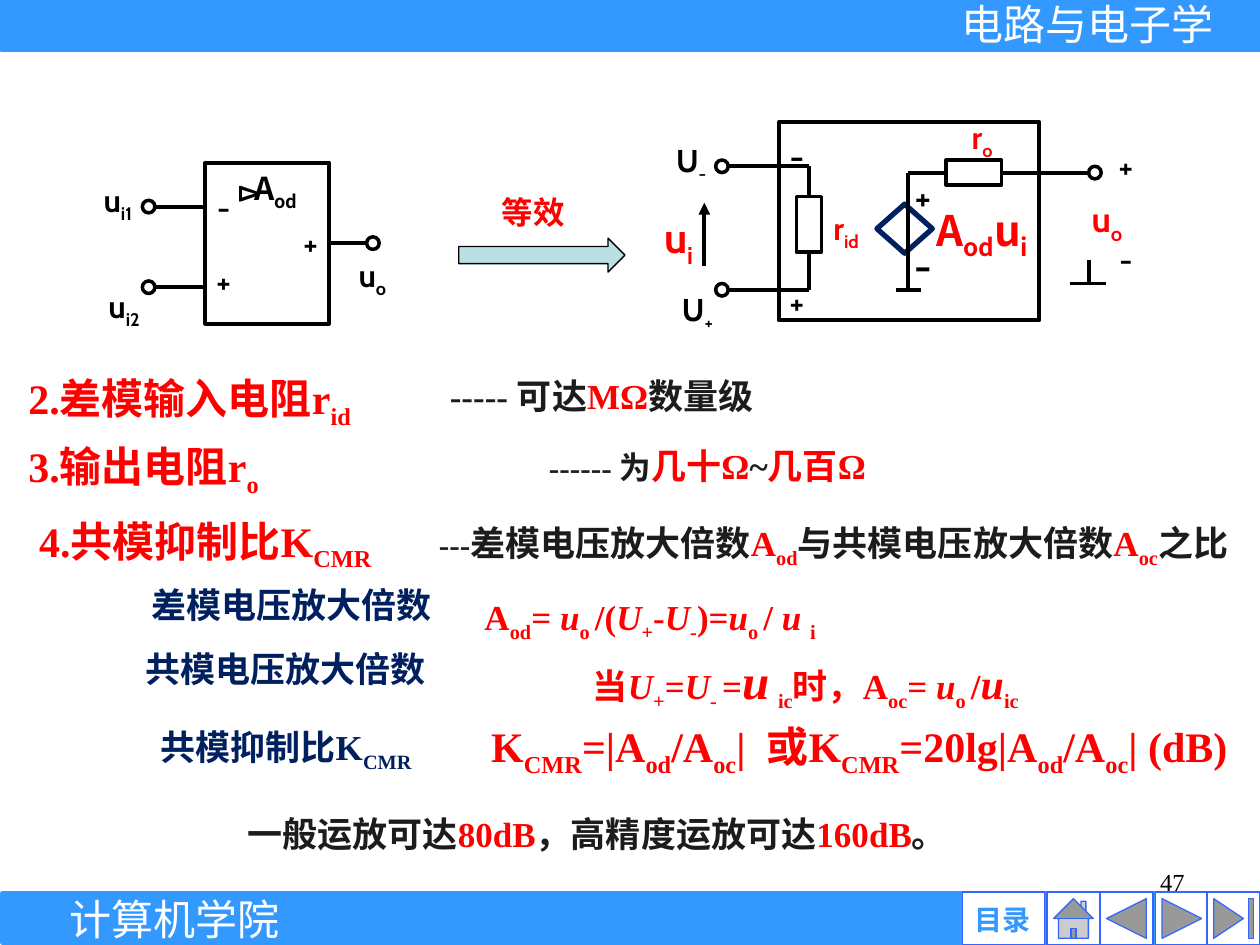
from dataclasses import dataclass
from typing import Optional

from lxml import etree
from pptx import Presentation
from pptx.dml.color import RGBColor
from pptx.enum.shapes import MSO_CONNECTOR, MSO_SHAPE
from pptx.enum.text import MSO_ANCHOR, MSO_AUTO_SIZE, PP_ALIGN
from pptx.oxml.ns import qn
from pptx.util import Emu, Pt

SCALE = 9144  # EMU per px, 100 px to the inch
RECT, OVAL, DIAMOND = MSO_SHAPE.RECTANGLE, MSO_SHAPE.OVAL, MSO_SHAPE.DIAMOND
ARROW = MSO_SHAPE.RIGHT_ARROW
CENTER, LEFT, RIGHT = PP_ALIGN.CENTER, PP_ALIGN.LEFT, PP_ALIGN.RIGHT
TOP_SIDE, LEFT_SIDE, BOTTOM_SIDE, RIGHT_SIDE = range(4)
COLORS = {
    "black": "000000", "white": "FFFFFF", "red": "FF0000", "ink": "1C1C1C",
    "navy": "002060", "bar": "3399FF", "button": "3366FF", "pale": "BBE0E3",
}
SERIF, SANS, CABIN, CJK = "Times New Roman", "Arial", "Cabin", "Noto Sans CJK SC"


@dataclass(frozen=True)
class Run:
    text: str
    color: Optional[str] = None
    size: Optional[int] = None
    italic: bool = False
    subscript: bool = False


@dataclass(frozen=True)
class Label:
    left: int
    top: int
    width: int
    height: int
    runs: tuple
    size: int = 18
    color: str = "black"
    font: str = CABIN
    bold: bool = True
    align: PP_ALIGN = CENTER
    wrap: bool = True
    spacing: Optional[float] = None
    middle: bool = False
    rotation: int = 0


@dataclass(frozen=True)
class Block:
    left: int
    top: int
    width: int
    height: int
    kind: MSO_SHAPE = RECT
    fill: Optional[str] = "white"
    line: str = "black"
    weight: float = 2.0


@dataclass(frozen=True)
class Wire:
    x1: int
    y1: int
    x2: int
    y2: int
    block: Optional[Block] = None  # block whose side the wire ends on
    side: int = 0
    arrow: bool = False


def rgb(name: str) -> RGBColor:
    return RGBColor.from_string(COLORS[name])


def px(*lengths: int) -> list:
    return [Emu(length * SCALE) for length in lengths]


def sub(text: str, color: Optional[str] = None) -> Run:
    return Run(text, color, subscript=True)


def ital(text: str, size: Optional[int] = None) -> Run:
    return Run(text, size=size, italic=True)


def red(text: str, size: Optional[int] = None) -> Run:
    return Run(text, "red", size)


def symbol(left: int, top: int, letter: str, index: str = "", size: int = 18,
           color: str = "black") -> Label:
    """Circuit symbol with an optional subscript."""
    runs = (letter, sub(index)) if index else (letter,)
    return Label(left, top, 59, 40, runs, size, color)


def draw_label(slide, label: Label) -> None:
    shape = slide.shapes.add_textbox(*px(label.left, label.top, label.width, label.height))
    shape.rotation = label.rotation
    frame = shape.text_frame
    frame.word_wrap = label.wrap
    frame.auto_size = MSO_AUTO_SIZE.SHAPE_TO_FIT_TEXT
    if label.middle:
        frame.vertical_anchor = MSO_ANCHOR.MIDDLE
        frame.margin_left = frame.margin_right = frame.margin_top = frame.margin_bottom = 0
    paragraph = frame.paragraphs[0]
    paragraph.alignment = label.align
    if label.spacing:
        paragraph.line_spacing = label.spacing
    for part in label.runs:
        part = Run(part) if isinstance(part, str) else part
        run = paragraph.add_run()
        run.text = part.text
        run.font.name = label.font
        run.font.size = Pt(part.size or label.size)
        run.font.bold = label.bold
        run.font.italic = part.italic
        run.font.color.rgb = rgb(part.color or label.color)
        if part.subscript:
            run._r.get_or_add_rPr().set("baseline", "-25000")


def draw_block(slide, block: Block):
    shape = slide.shapes.add_shape(
        block.kind, *px(block.left, block.top, block.width, block.height))
    shape.shadow.inherit = False
    if block.fill:
        shape.fill.solid()
        shape.fill.fore_color.rgb = rgb(block.fill)
    else:
        shape.fill.background()
    shape.line.color.rgb = rgb(block.line)
    shape.line.width = Pt(block.weight)
    return shape


def draw_wire(slide, wire: Wire, shapes: dict) -> None:
    connector = slide.shapes.add_connector(
        MSO_CONNECTOR.STRAIGHT, *px(wire.x1, wire.y1, wire.x2, wire.y2))
    connector.line.color.rgb = rgb("black")
    connector.line.width = Pt(2.25)
    if wire.arrow:
        etree.SubElement(connector.line._get_or_add_ln(), qn("a:tailEnd"), type="triangle")
    etree.SubElement(connector._element.spPr, qn("a:effectLst"))
    if wire.block:
        connector.end_connect(shapes[wire.block], wire.side)


def draw_circuit(slide, blocks: list, wires: list, terminals: list, labels: list) -> None:
    shapes = {block: draw_block(slide, block) for block in blocks}
    for wire in wires:
        draw_wire(slide, wire, shapes)
    for left, top in terminals:
        draw_block(slide, Block(left, top, 10, 10, OVAL))
    for label in labels:
        draw_label(slide, label)


AMPLIFIER = Block(163, 129, 98, 128, weight=2.25)
AMPLIFIER_WIRES = [Wire(123, 164, 163, 164), Wire(123, 228, 163, 228),
                   Wire(295, 193, 261, 193, AMPLIFIER, RIGHT_SIDE)]
AMPLIFIER_LABELS = [
    symbol(148, 203, "+"), symbol(217, 173, "+"), symbol(148, 144, "-"),
    symbol(64, 139, "u", "i1"), symbol(69, 223, "u", "i2"), symbol(266, 198, "u", "o"),
    Label(170, 129, 98, 40, ("A", sub("od")), font=CJK),
    Label(177, 137, 40, 34, ("Δ",), 14, font=CJK, wrap=False, rotation=90),
]

MODEL = Block(618, 97, 207, 157, weight=2.25)
INPUT_RESISTOR = Block(632, 156, 20, 44)
OUTPUT_RESISTOR = Block(751, 127, 44, 20)
MODEL_WIRES = [
    Wire(578, 132, 642, 132), Wire(578, 230, 642, 230), Wire(559, 211, 559, 161, arrow=True),
    Wire(642, 132, 642, 156, INPUT_RESISTOR, TOP_SIDE),
    Wire(642, 230, 642, 200, INPUT_RESISTOR, BOTTOM_SIDE),
    Wire(721, 137, 751, 137, OUTPUT_RESISTOR, LEFT_SIDE),
    Wire(864, 137, 795, 137, OUTPUT_RESISTOR, RIGHT_SIDE),
    Wire(721, 137, 721, 230), Wire(711, 230, 731, 230),
    Wire(864, 206, 864, 225), Wire(849, 225, 878, 225),
]
MODEL_LABELS = [
    symbol(603, 220, "+"), symbol(864, 112, "+"), symbol(603, 102, "-", size=20),
    symbol(519, 107, "U", "-"), symbol(524, 225, "U", "+"), symbol(864, 186, "-"),
    symbol(849, 152, "u", "o", 20, "red"), symbol(642, 161, "r", "id", color="red"),
    symbol(750, 89, "r", "o", color="red"), symbol(509, 163, "u", "i", 24, "red"),
    Label(723, 157, 113, 51, ("A", sub("od"), "u", sub("i")), 24, "red", CJK),
    Label(711, 134, 43, 44, ("+",), 20, wrap=False),
    Label(715, 185, 35, 50, ("-",), 24, wrap=False),
]

A_OD, A_OC = ("A", sub("od")), ("A", sub("oc"))
K_CMR = ("K", sub("CMR"))
U_PLUS, U_MINUS = (ital("U"), sub("+")), (ital("U"), sub("-"))
U_O = (ital("u"), sub("o "))
RATIO = ("|", *A_OD, "/", *A_OC, "|")
NOTES = [
    Label(-6, 291, 313, 51, ("2.差模输入电阻r", sub("id")), 24, "red", SERIF),
    Label(273, 292, 409, 43, ("----- 可达", red("MΩ"), "数量级"), 20, "ink", SERIF),
    Label(2, 345, 224, 51, ("3.输出电阻r", sub("o")), 24, "red", SERIF),
    Label(227, 348, 669, 44, ("------ 为", red("几十Ω", 20), Run("~", size=20),
                              red("几百Ω", 20)), 18, "ink", SERIF),
    Label(3, 404, 320, 51, ("4.共模抑制比", *K_CMR), 24, "red", SERIF),
    Label(307, 409, 709, 44, (Run("---", size=18), "差模电压放大倍数", red("A"),
                              sub("od", "red"), "与共模电压放大倍数", red("A"),
                              sub("oc", "red"), "之比"), 20, "ink", SERIF),
    Label(12, 458, 439, 44, ("差模电压放大倍数",), 20, "navy", SERIF),
    Label(369, 449, 294, 61, (*A_OD, "= ", *U_O, "/(", *U_PLUS, "-", *U_MINUS, ")=", *U_O,
                              "/ ", ital("u "), sub("i")), 20, "red", SERIF,
          wrap=False, spacing=1.5),
    Label(50, 509, 353, 44, ("共模电压放大倍数",), 20, "navy", SERIF),
    Label(364, 487, 551, 81, ("当", *U_PLUS, "=", ital("U"), sub("- "), "=", ital("u", 28),
                              " ", sub("ic"), "时，", *A_OC, "= ", *U_O, "/",
                              ital("u", 24), sub("ic")), 20, "red", SERIF, spacing=1.5),
    Label(113, 571, 228, 44, ("共模抑制比", *K_CMR), 20, "navy", SERIF, wrap=False),
    Label(355, 567, 654, 51, (*K_CMR, "=", *RATIO, "  或", *K_CMR, "=20lg", *RATIO, " (dB)"),
          24, "red", SERIF),
    Label(155, 640, 638, 43, ("一般运放可达", red("80dB"), "，高精度运放可达",
                              red("160dB"), "。"), 20, "ink", SERIF),
]

BUTTONS = [
    (764, 65, MSO_SHAPE.ACTION_BUTTON_CUSTOM), (831, 42, MSO_SHAPE.ACTION_BUTTON_HOME),
    (873, 42, MSO_SHAPE.ACTION_BUTTON_BACK_OR_PREVIOUS),
    (917, 42, MSO_SHAPE.ACTION_BUTTON_FORWARD_OR_NEXT), (958, 42, MSO_SHAPE.ACTION_BUTTON_END),
]
FRAME_LABELS = [
    Label(717, 683, 233, 52, ("47",), 14, font=SERIF, bold=False, align=RIGHT),
    Label(764, 716, 63, 27, ("目录",), 16, "bar", SANS, middle=True),
    Label(763, -1, 244, 40, ("电路与电子学",), 24, "white", SANS, False, LEFT, middle=True),
    Label(55, 709, 167, 40, ("计算机学院",), 24, "white", SERIF, False, wrap=False, middle=True),
]


def draw_frame(slide) -> None:
    """Header and footer bars with the navigation buttons."""
    for left, top in ((1, 0), (2, 709)):
        draw_block(slide, Block(left, top, 999, 39, RECT, "bar", "bar", 3))
    for left, width, kind in BUTTONS:
        draw_block(slide, Block(left, 708, width, 42, kind, "white", "button", 0.75))
    for label in FRAME_LABELS:
        draw_label(slide, label)


def main() -> None:
    presentation = Presentation()
    presentation.slide_width, presentation.slide_height = px(1000, 750)
    slide = presentation.slides.add_slide(presentation.slide_layouts[6])
    draw_frame(slide)
    source = Block(696, 162, 44, 39, DIAMOND, None, "navy", 3)
    draw_circuit(slide, [MODEL, INPUT_RESISTOR, OUTPUT_RESISTOR, source], MODEL_WIRES,
                 [(568, 127), (568, 225), (864, 132)], MODEL_LABELS)
    draw_block(slide, Block(364, 189, 132, 27, ARROW, "pale", "black", 0.75))
    draw_label(slide, Label(364, 148, 118, 40, ("等效",), 18, "red"))
    draw_circuit(slide, [AMPLIFIER], AMPLIFIER_WIRES,
                 [(113, 159), (113, 223), (291, 188)], AMPLIFIER_LABELS)
    for note in NOTES:
        draw_label(slide, note)
    presentation.save("out.pptx")


if __name__ == "__main__":
    main()
